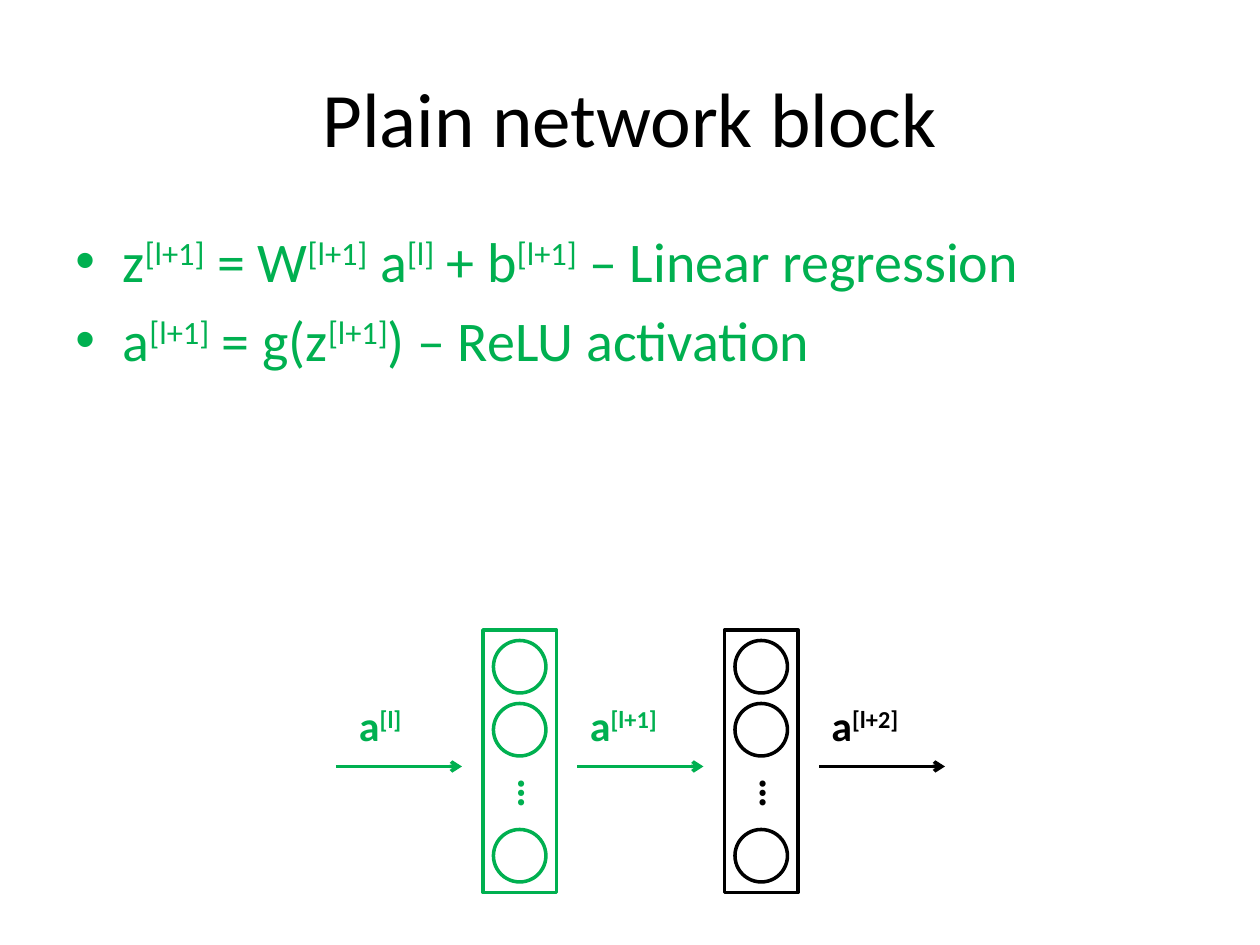
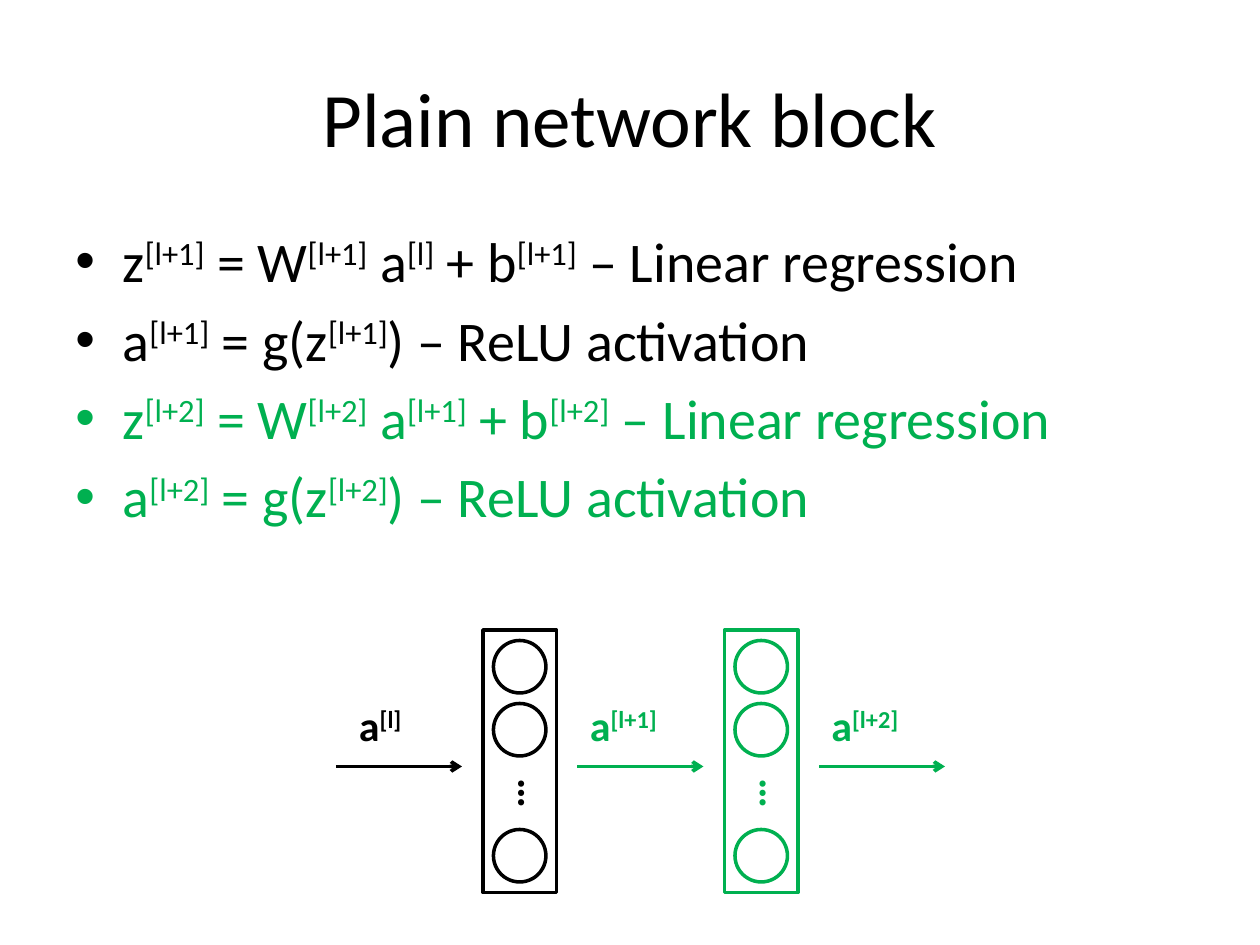
import pptx
import pptx.util
import pptx.dml.color
import pptx.enum.shapes
import pptx.enum.text
import pptx.oxml.ns
import lxml.etree

Pt = pptx.util.Pt
MSO_SHAPE = pptx.enum.shapes.MSO_SHAPE
PP_ALIGN = pptx.enum.text.PP_ALIGN
MSO_ANCHOR = pptx.enum.text.MSO_ANCHOR
MSO_AUTO_SIZE = pptx.enum.text.MSO_AUTO_SIZE
qn = pptx.oxml.ns.qn

FONT = "Calibri"
COLORS = {"text": "000000", "active": "00B050"}
RGB = {name: pptx.dml.color.RGBColor.from_string(c) for name, c in COLORS.items()}


def add_text(shapes, box, lines, size, colors, bold=False, align=PP_ALIGN.LEFT,
             anchor=MSO_ANCHOR.TOP, fit=MSO_AUTO_SIZE.NONE, bullet=False, rotation=0):
    sp = shapes.add_textbox(*[Pt(v) for v in box])
    sp.rotation = rotation
    tf = sp.text_frame
    tf.word_wrap = True
    tf.auto_size = fit
    tf.vertical_anchor = anchor
    for i, (line, color) in enumerate(zip(lines, colors)):
        p = tf.paragraphs[0] if i == 0 else tf.add_paragraph()
        p.alignment = align
        if bullet:
            p.space_before = Pt(size * 0.2)
            pPr = p._p.get_or_add_pPr()
            pPr.set("marL", str(Pt(27)))
            pPr.set("indent", str(-Pt(27)))
            lxml.etree.SubElement(pPr, qn("a:buFont"), typeface="Arial")
            lxml.etree.SubElement(pPr, qn("a:buChar"), char="•")
        for part in line.replace("[", "|[").replace("]", "]|").split("|"):
            if not part:
                continue
            r = p.add_run()
            r.text = part
            r.font.name = FONT
            r.font.size = Pt(size)
            r.font.bold = bold
            r.font.color.rgb = RGB[color]
            if part.startswith("["):
                r.font._element.set("baseline", "30000")


def add_outline(shapes, kind, box, color):
    sp = shapes.add_shape(kind, *[Pt(v) for v in box])
    sp.shadow.inherit = False
    sp.fill.background()
    sp.line.color.rgb = RGB[color]
    sp.line.width = Pt(2)


EQUATIONS = [
    "z[l+1] = W[l+1] a[l] + b[l+1] – Linear regression",
    "a[l+1] = g(z[l+1]) – ReLU activation",
    "z[l+2] = W[l+2] a[l+1] + b[l+2] – Linear regression",
    "a[l+2] = g(z[l+2]) – ReLU activation",
]
ACTIVATIONS = [("a[l]", 198, 54), ("a[l+1]", 330, 66), ("a[l+2]", 468, 66)]
LAYER_STEP = 138

prs = pptx.Presentation()
prs.slide_width = Pt(720)
prs.slide_height = Pt(540)

for active_layer in range(2):
    s = prs.slides.add_slide(prs.slide_layouts[6])
    add_text(s.shapes, (36, 21.6, 648, 90), ["Plain network block"], 44, ["text"],
             align=PP_ALIGN.CENTER, anchor=MSO_ANCHOR.MIDDLE)

    shown = EQUATIONS[:2 * (active_layer + 1)]
    equation_colors = ["active" if i // 2 == active_layer else "text"
                       for i in range(len(shown))]
    add_text(s.shapes, (36, 126, 648, 356.4), shown, 32, equation_colors, bullet=True)

    network = s.shapes.add_group_shape().shapes
    for layer in range(2):
        color = "active" if layer == active_layer else "text"
        left = 276 + layer * LAYER_STEP
        add_outline(network, MSO_SHAPE.RECTANGLE, (left, 360, 42, 150), color)
        for row in (0, 1, 3):
            add_outline(network, MSO_SHAPE.OVAL, (left + 6, 366 + row * 36, 30, 30), color)
        add_text(network, (left + 19, 430.6, 21.6, 36), ["…"], 24, [color], bold=True,
                 fit=MSO_AUTO_SIZE.SHAPE_TO_FIT_TEXT, rotation=90)

    for i, (label, label_left, label_width) in enumerate(ACTIVATIONS):
        color = "active" if i in (active_layer, active_layer + 1) else "text"
        add_text(network, (label_left, 396, label_width, 36), [label], 24, [color],
                 bold=True, fit=MSO_AUTO_SIZE.SHAPE_TO_FIT_TEXT)
        x = 192 + i * LAYER_STEP
        arrow = network.add_connector(pptx.enum.shapes.MSO_CONNECTOR.STRAIGHT,
                                      Pt(x), Pt(438), Pt(x + 72), Pt(438))
        arrow.line.color.rgb = RGB[color]
        arrow.line.width = Pt(2)
        lxml.etree.SubElement(arrow.line._get_or_add_ln(), qn("a:tailEnd"), type="arrow")
        lxml.etree.SubElement(arrow._element.spPr, qn("a:effectLst"))

prs.save("out.pptx")
